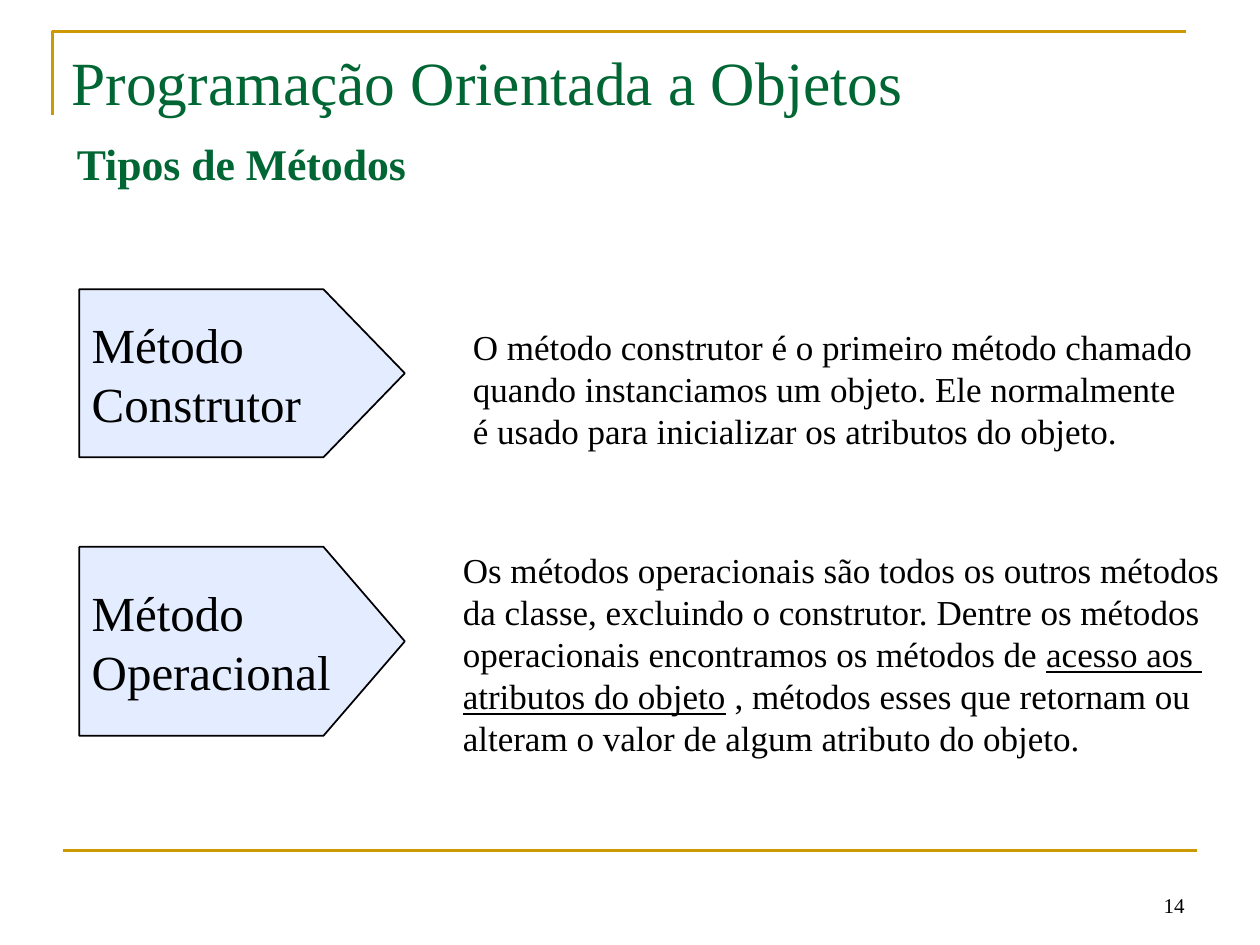
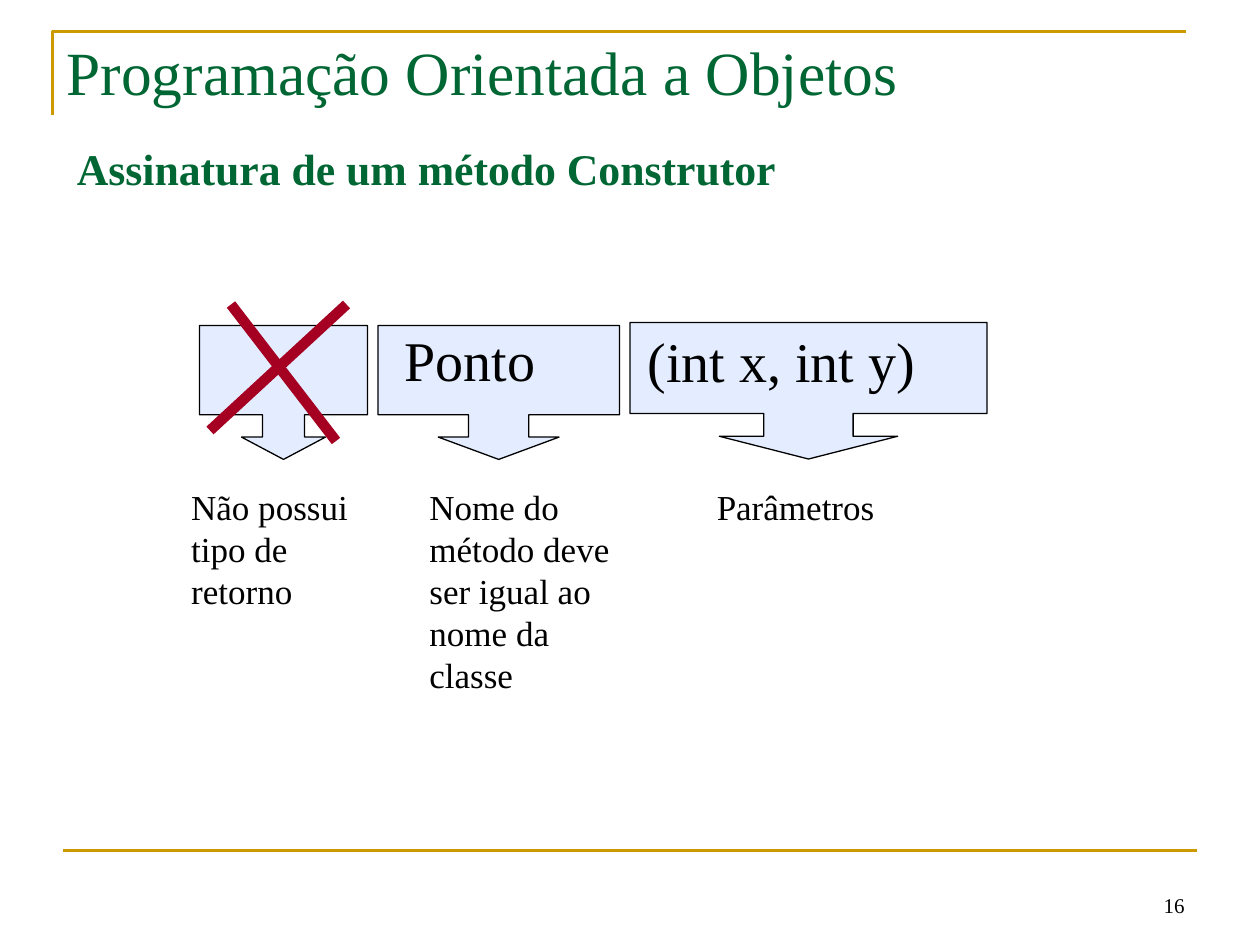
from lxml import etree
from pptx import Presentation
from pptx import util as u
from pptx.dml.color import RGBColor
from pptx.enum import shapes, text
from pptx.oxml.ns import qn

COLS, ROWS = 120, 90
WIDE, HIGH = u.Inches(10), u.Inches(7.5)
FACE = "Times New Roman"
HUES = {"gold": "CC9900", "green": "006633", "pale": "E4EDFF",
        "ink": "000000", "red": "A50021"}
TOP, MID, LOW = (text.MSO_ANCHOR.TOP, text.MSO_ANCHOR.MIDDLE,
                 text.MSO_ANCHOR.BOTTOM)
LEFT, RIGHT = text.PP_ALIGN.LEFT, text.PP_ALIGN.RIGHT
HEAD = {"size": 35.15, "hue": "green", "anchor": MID, "para": {"line_spacing": 0.9}}
TITLE = {"size": 25, "hue": "green", "bold": True}
NOTE = {"size": 20, "grow": True}
PAGE = {"size": 12, "anchor": LOW, "para": {"alignment": RIGHT}}


def hue(name):
    return RGBColor.from_string(HUES[name])


def grid(*cells):
    """Turn alternating columns and rows into slide lengths."""
    return [round(n * (HIGH / ROWS if i % 2 else WIDE / COLS))
            for i, n in enumerate(cells)]


def put(item, fmt):
    for key, val in fmt.items():
        setattr(item, key, val)


def write(shape, lines, size, hue_name="ink", anchor=TOP, bold=False,
          wrap=True, grow=False, para=None, inset=(0.1, 0.05)):
    """Fill a shape with paragraphs; a line may be a list of (text, underline)."""
    frame = shape.text_frame
    side, edge = map(u.Inches, inset)
    fit = text.MSO_AUTO_SIZE
    put(frame, {"word_wrap": wrap, "vertical_anchor": anchor,
                "auto_size": fit.SHAPE_TO_FIT_TEXT if grow else fit.NONE,
                "margin_left": side, "margin_right": u.Inches(0.1),
                "margin_top": edge, "margin_bottom": edge})
    for i, line in enumerate(lines):
        p = frame.add_paragraph() if i else frame.paragraphs[0]
        put(p, {"alignment": LEFT, **(para or {})})
        for words, under in [(line, None)] if isinstance(line, str) else line:
            run = p.add_run()
            run.text = words
            put(run.font, {"name": FACE, "size": u.Pt(size), "bold": bold,
                           "underline": under})
            run.font.color.rgb = hue(hue_name)


def label(slide, box, lines, fmt, **more):
    fmt = {**fmt, **more}
    write(slide.shapes.add_textbox(*grid(*box)), lines,
          hue_name=fmt.pop("hue", "ink"), **fmt)


def paint(shape, fill, line, width):
    shape.shadow.inherit = False
    if fill:
        shape.fill.solid()
        shape.fill.fore_color.rgb = hue(fill)
    else:
        shape.fill.background()
    shape.line.color.rgb = hue(line)
    shape.line.width = u.Pt(width)


def trace(slide, pts, close, fill, line, width):
    pts = [grid(*p) for p in pts]
    pen = slide.shapes.build_freeform(*pts[0])
    pen.add_line_segments(pts[1:], close=close)
    shape = pen.convert_to_shape()
    paint(shape, fill, line, width)
    return shape


def rule(slide, ends, tint, width):
    line = slide.shapes.add_connector(shapes.MSO_CONNECTOR.STRAIGHT, *grid(*ends))
    line.line.color.rgb = hue(tint)
    line.line.width = u.Pt(width)
    etree.SubElement(line._element.spPr, qn("a:effectLst"))


def base(deck, title, box, head, page):
    """Slide with the gold frame, course heading, title and page number."""
    slide = deck.slides.add_slide(deck.slide_layouts[5])
    trace(slide, [(5, 11), (5, 3), (113, 3)], False, None, "gold", 1.5)
    rule(slide, (6, 81, 114, 81), "gold", 1.5)
    label(slide, (86, 81.95, 28, 6), [page], PAGE)
    label(slide, (*head, 107, 8.5), ["Programação Orientada a Objetos"], HEAD)
    name = slide.shapes.title
    put(name, dict(zip(("left", "top", "width", "height"), grid(*box))))
    write(name, [title], size=TITLE["size"], hue_name=TITLE["hue"],
          bold=TITLE["bold"])
    return slide


def kind(slide, box, name, shift, size, note):
    """Arrow-shaped name tag with an explanation to its right."""
    x, y, w, h = box
    neck = x + w * 0.75
    tag = trace(slide, [(x, y), (neck, y), (x + w, y + h / 2),
                        (neck, y + h), (x, y + h)], True, "pale", "ink", 1)
    write(tag, name, 28, anchor=MID)
    label(slide, (x + shift[0], y + shift[1], *size), note, NOTE, wrap=False)


def part(slide, box, code, inset, spot, note, wrap=False):
    """Callout holding a piece of the signature, with a note below."""
    x, y, w, h = box
    call = slide.shapes.add_shape(shapes.MSO_SHAPE.DOWN_ARROW_CALLOUT, *grid(*box))
    for i, val in enumerate((w / h / 4, w / h / 4, 1 / 6, 2 / 3)):
        call.adjustments[i] = val
    paint(call, "pale", "ink", 0.75)
    if code:
        write(call, [code], 32, inset=inset)
    shift, wide, high = spot
    label(slide, (x + shift, 45.65, wide, high), note, NOTE, wrap=wrap)


def cross(slide, box):
    """Two thick strokes across the missing return type."""
    x, y, w, h = box
    rule(slide, (x, y + h - 1, x + w, y), "red", 6)
    rule(slide, (x + 2, y, x + w - 1, y + h), "red", 6)


def types(deck):
    slide = base(deck, "Tipos de Métodos", (6.12, 12.45, 60.6, 8.4),
                 (5.64, 3.9), "14")
    kind(slide, (7.56, 27.55, 31, 16), ["Método", "Construtor"],
         (36.3, 2.86), (72, 13.2),
         ["O método construtor é o primeiro método chamado",
          "quando instanciamos um objeto. Ele normalmente",
          "é usado para inicializar os atributos do objeto."])
    kind(slide, (7.56, 52.08, 31, 18), ["Método", "Operacional"],
         (35.34, -0.4), (75.6, 21.24),
         ["Os métodos operacionais são todos os outros métodos",
          "da classe, excluindo o construtor. Dentre os métodos",
          [("operacionais encontramos os métodos de ", None), ("acesso aos ", True)],
          [("atributos do objeto", True), (" , métodos esses que retornam ou", None)],
          "alteram o valor de algum atributo do objeto."])


def sign(deck):
    slide = base(deck, "Assinatura de um método Construtor",
                 (6.12, 12.93, 89.4, 7.32), (5.16, 2.95), "16")
    part(slide, (60, 30.72, 34, 13), "(int x, int y)", (0.14, 0.03),
         (7.08, 17.4, 5.3), ["Parâmetros"])
    part(slide, (36, 31, 23, 12.75), "Ponto", (0.21, 0), (3.72, 22.1, 21.24),
         ["Nome do método deve ser igual ao nome da classe"], True)
    part(slide, (19, 31, 16, 12.75), None, None, (-1.98, 18.1, 13.2),
         ["Não possui", "tipo de", "retorno"])
    cross(slide, (20, 29, 13, 13))


def main():
    deck = Presentation()
    put(deck, {"slide_width": WIDE, "slide_height": HIGH})
    types(deck)
    sign(deck)
    deck.save("out.pptx")


if __name__ == "__main__":
    main()
